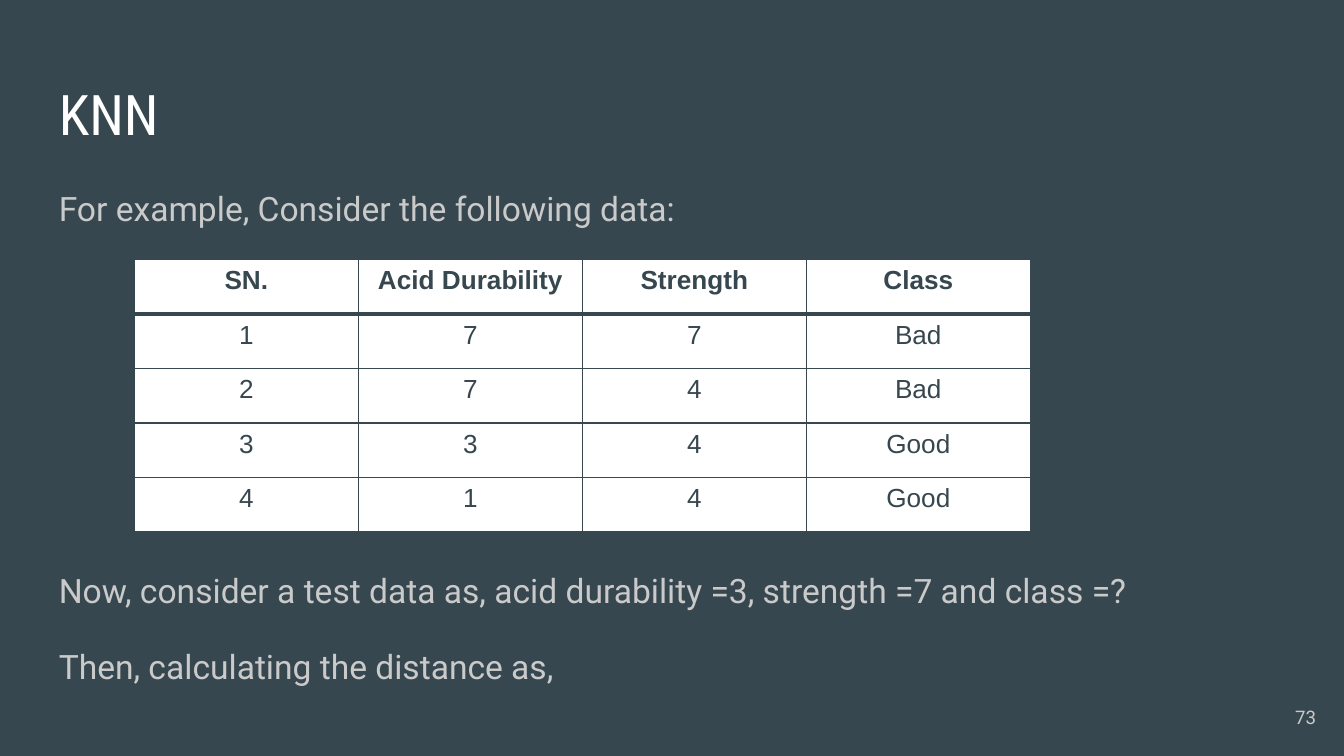
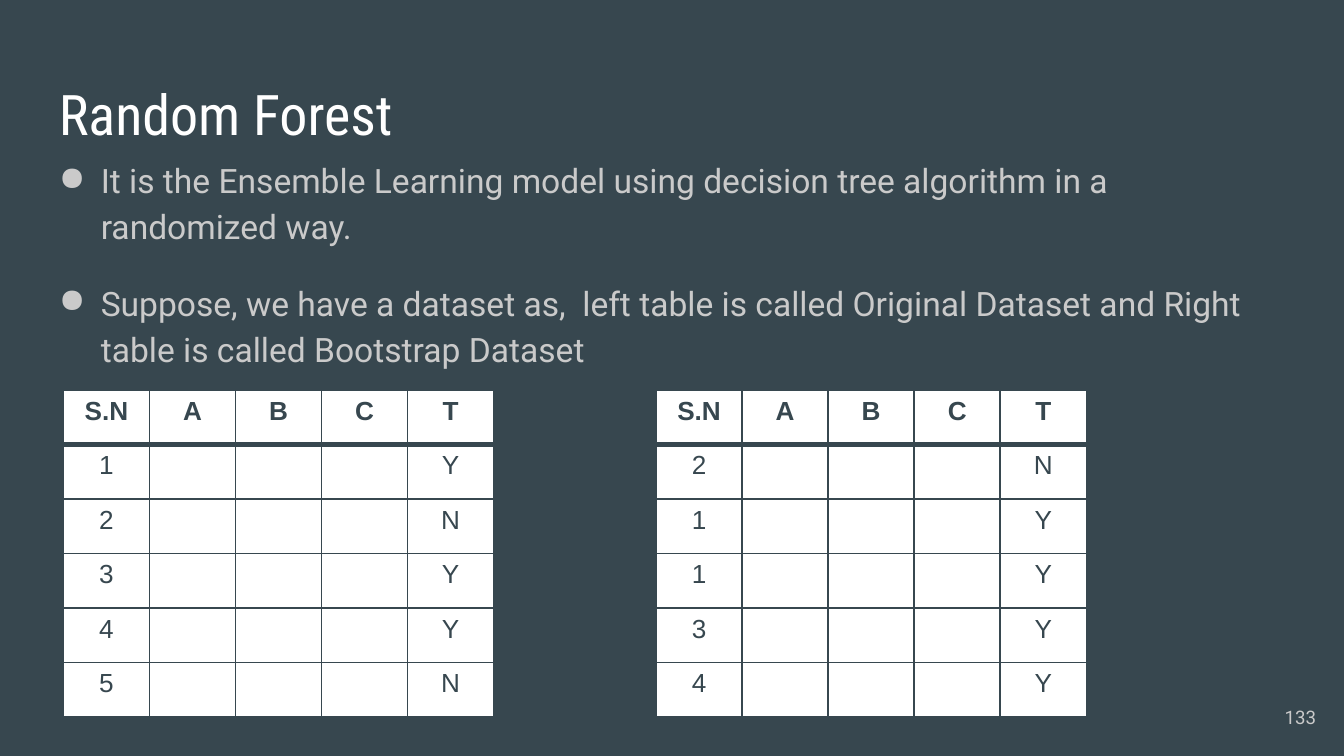
from lxml.etree import SubElement
from pptx import Presentation
from pptx.dml.color import RGBColor as RGB
from pptx.enum.text import MSO_ANCHOR as ANCHOR, MSO_AUTO_SIZE as AUTOSIZE, PP_ALIGN as ALIGN
from pptx.oxml import parse_xml
from pptx.oxml.ns import nsdecls, qn
from pptx.util import Emu, Pt

PX = 6350
TITLE_ONLY = 5
COLORS = {"slate": "37474F", "white": "FFFFFF", "gray": "CACACA"}
FORMATS = {
    "title": {"name": "Roboto Condensed", "size": Pt(30), "color": "white"},
    "body": {"name": "Roboto", "size": Pt(18), "color": "gray"},
    "number": {"name": "Roboto", "size": Pt(10), "color": "gray"},
    "head": {"name": "Arial", "size": Pt(14), "bold": True, "color": "slate"},
    "cell": {"name": "Arial", "size": Pt(14), "bold": False, "color": "slate"},
}
BODY_PARAGRAPH = {"line_spacing": 1.15, "space_after": Pt(16), "alignment": ALIGN.LEFT}
MARGIN = 14
INDENT = 45


def px(*values):
    return [Emu(v * PX) for v in values]


def set_all(target, values):
    for key, value in values.items():
        setattr(target, key, value)


class Deck:
    def __init__(self, width, height):
        self.prs = Presentation()
        self.prs.slide_width, self.prs.slide_height = px(width, height)
        fill = self.prs.slide_master.background.fill
        fill.solid()
        fill.fore_color.rgb = self.color("slate")

    def color(self, name):
        return RGB.from_string(COLORS[name])

    def run(self, p, text, style):
        r = p.add_run()
        r.text = text
        for key, value in FORMATS[style].items():
            if key == "color":
                r.font.color.rgb = self.color(value)
            else:
                setattr(r.font, key, value)

    def frame(self, sp, anchor=ANCHOR.TOP):
        tf = sp.text_frame
        set_all(tf, {"word_wrap": True, "auto_size": AUTOSIZE.NONE, "vertical_anchor": anchor})
        sides = ("left", "top", "right", "bottom")
        set_all(tf, {f"margin_{side}": Emu(MARGIN * PX) for side in sides})
        return tf

    def slide(self, title, number):
        self.s = self.prs.slides.add_slide(self.prs.slide_layouts[TITLE_ONLY])
        sp = self.s.shapes.title
        sp.left, sp.top, sp.width, sp.height = px(49, 71, 1342, 91)
        p = self.frame(sp).paragraphs[0]
        p.alignment = ALIGN.LEFT
        self.run(p, title, "title")
        sp = self.s.shapes.add_textbox(*px(1338, 737, 86, 62))
        p = self.frame(sp, ANCHOR.MIDDLE).paragraphs[0]
        p.alignment = ALIGN.RIGHT
        self.run(p, str(number), "number")

    def bullet(self, p):
        pPr = p._p.get_or_add_pPr()
        pPr.set("marL", str(INDENT * PX))
        pPr.set("indent", str(-INDENT * PX))
        color = SubElement(pPr, qn("a:buClr"))
        SubElement(color, qn("a:srgbClr"), val=COLORS["gray"])
        SubElement(pPr, qn("a:buChar"), char="●")

    def body(self, top, height, lines, bullets=False):
        tf = self.frame(self.s.shapes.add_textbox(*px(49, top, 1342, height)))
        for i, line in enumerate(lines):
            p = tf.add_paragraph() if i else tf.paragraphs[0]
            if bullets:
                self.bullet(p)
            set_all(p, BODY_PARAGRAPH)
            self.run(p, line, "body")

    def borders(self, cell, widths):
        tcPr = cell._tc.get_or_add_tcPr()
        for i, (side, width) in enumerate(widths.items()):
            tcPr.insert(i, parse_xml(
                f'<a:ln{side} {nsdecls("a")} w="{Pt(width)}"><a:solidFill>'
                f'<a:srgbClr val="{COLORS["slate"]}"/></a:solidFill></a:ln{side}>'))

    def table(self, left, top, width, height, rows):
        frame = self.s.shapes.add_table(
            len(rows), len(rows[0]), *px(left, top, width, height))
        table = frame.table
        table.horz_banding = False
        for i, row in enumerate(rows):
            for j, text in enumerate(row):
                cell = table.cell(i, j)
                cell.fill.solid()
                cell.fill.fore_color.rgb = self.color("white")
                self.borders(cell, {"L": 1, "R": 1, "T": 3 if i == 1 else 1, "B": 1 if i else 3})
                p = cell.text_frame.paragraphs[0]
                p.alignment = ALIGN.CENTER
                if text:
                    self.run(p, text, "cell" if i else "head")


def knn(deck):
    deck.slide("KNN", 73)
    deck.body(181, 75, ["For example, Consider the following data:"])
    deck.table(144, 278, 960, 292, [
        ("SN.", "Acid Durability", "Strength", "Class"),
        ("1", "7", "7", "Bad"),
        ("2", "7", "4", "Bad"),
        ("3", "3", "4", "Good"),
        ("4", "1", "4", "Good"),
    ])
    deck.body(590, 190, [
        "Now, consider a test data as, acid durability =3, strength =7 and class =?",
        "Then, calculating the distance as,",
    ])


def random_forest(deck):
    deck.slide("Random Forest", 133)
    deck.body(151, 648, [
        "It is the Ensemble Learning model using decision tree algorithm in a randomized way.",
        "Suppose, we have a dataset as,  left table is called Original Dataset "
        "and Right table is called Bootstrap Dataset",
    ], bullets=True)
    datasets = {68: ("12345", "YNYYN"), 703: ("21134", "NYYYY")}
    for left, (numbers, targets) in datasets.items():
        rows = [(n, "", "", "", t) for n, t in zip(numbers, targets)]
        deck.table(left, 418, 461, 350, [("S.N", "A", "B", "C", "T"), *rows])


def main():
    deck = Deck(1440, 810)
    knn(deck)
    random_forest(deck)
    deck.prs.save("out.pptx")


if __name__ == "__main__":
    main()
